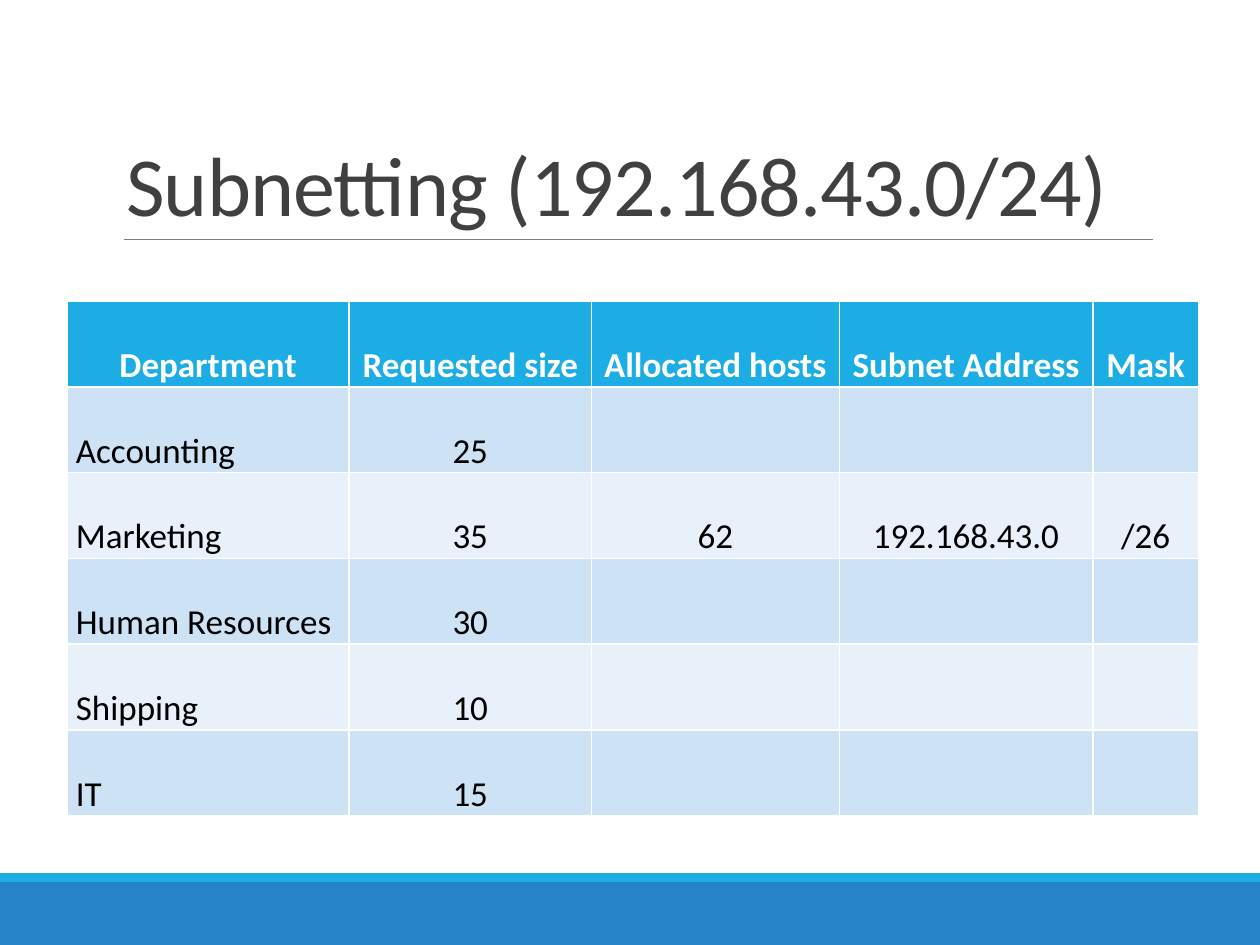
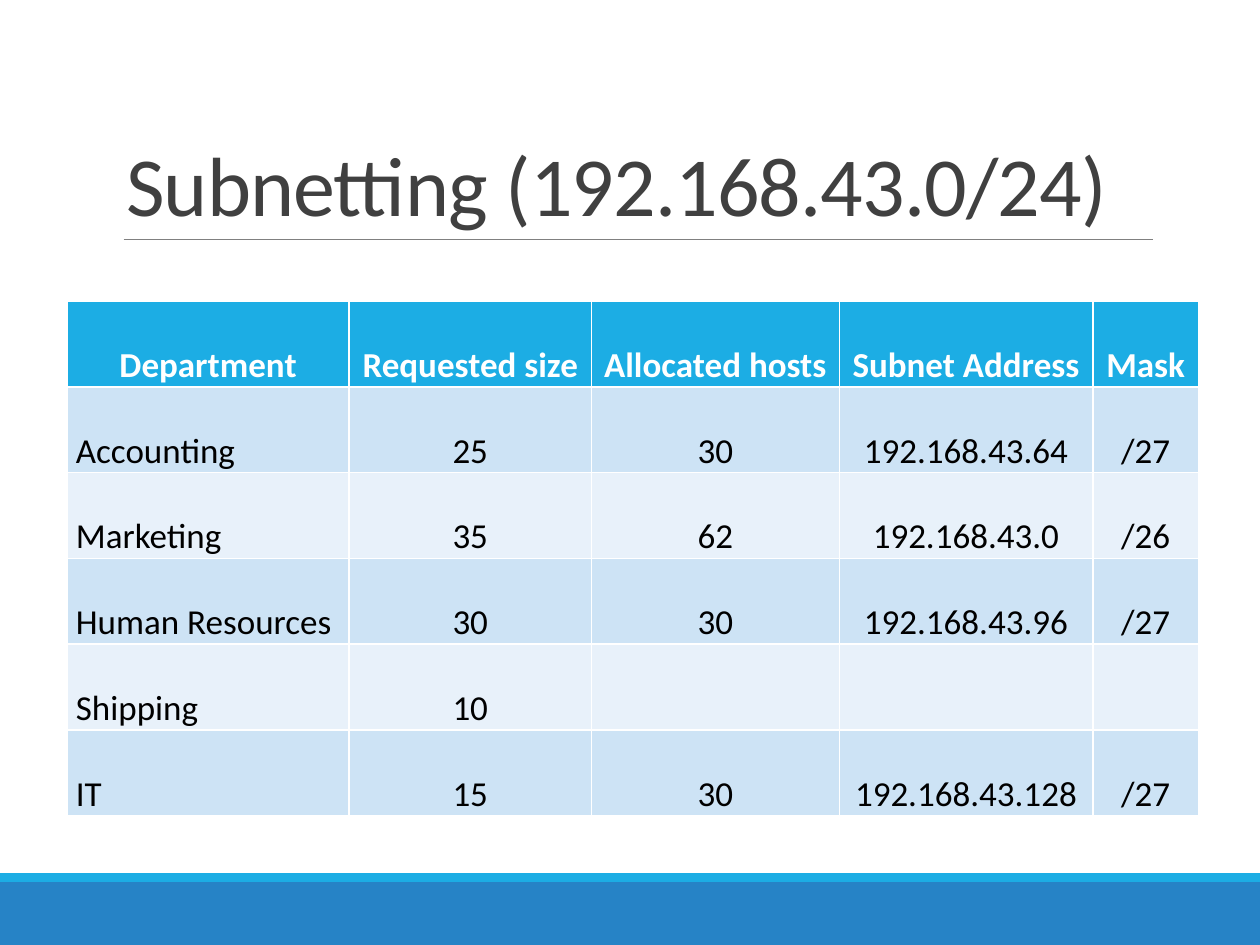
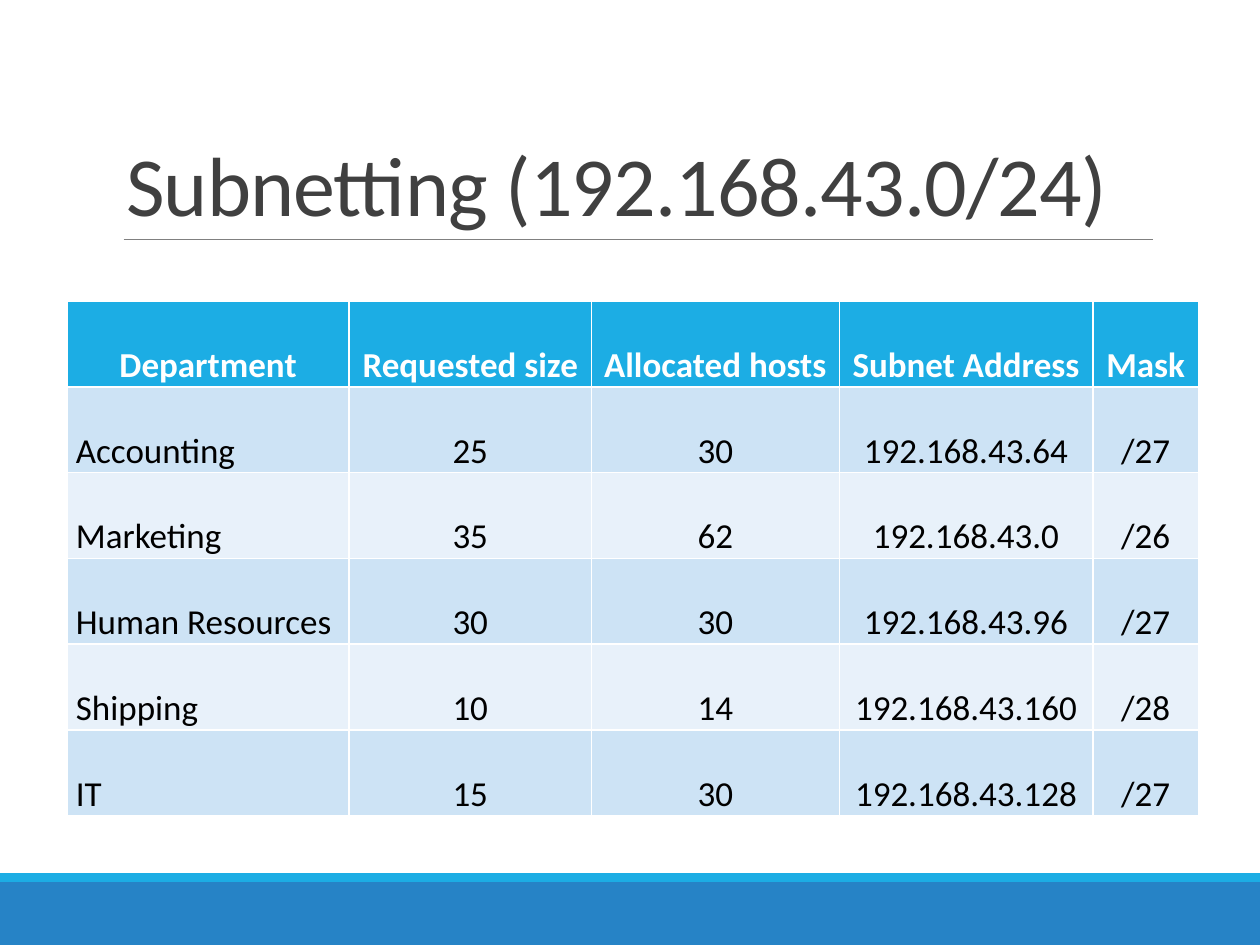
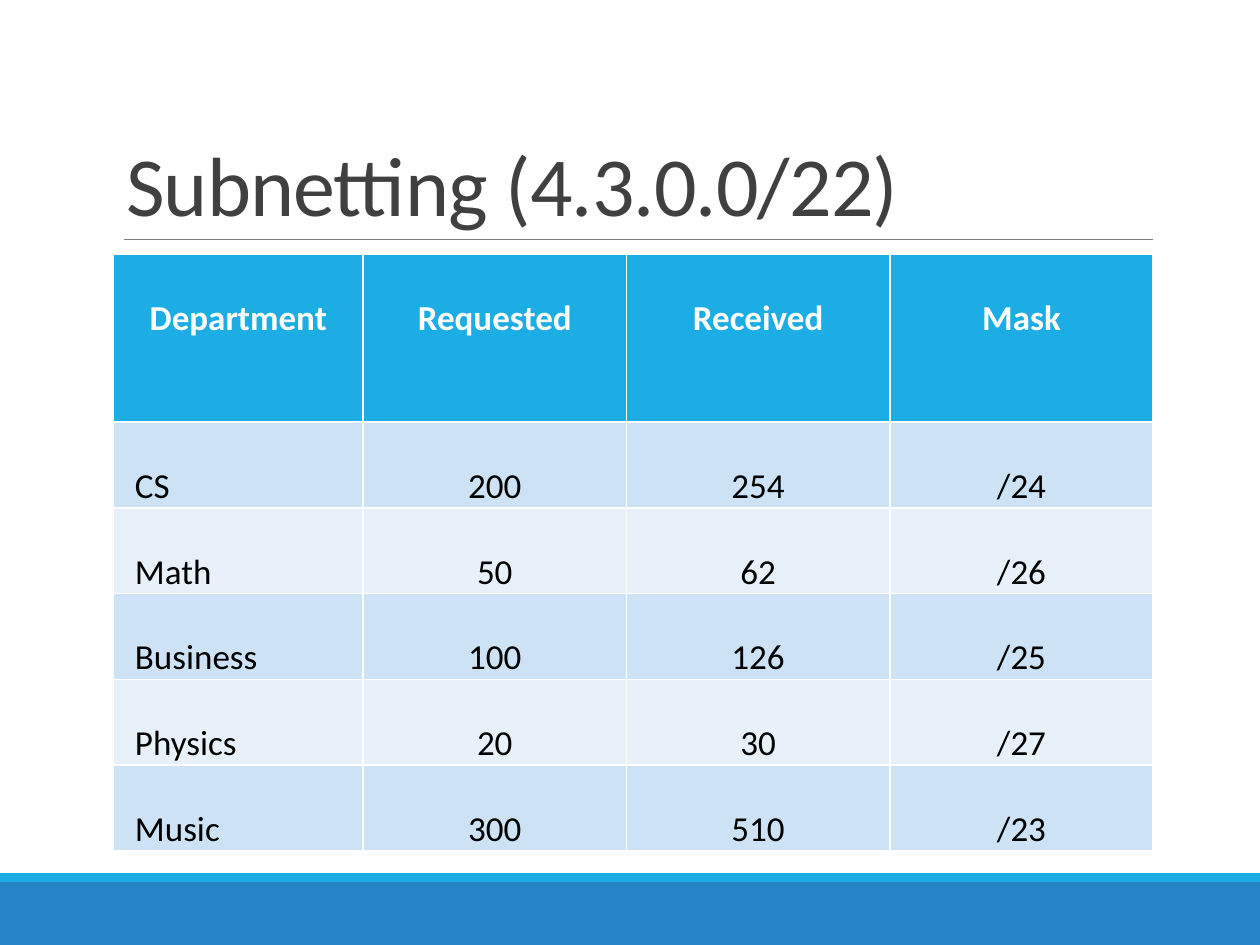
from pptx import Presentation
from pptx import util as u
from pptx.dml.color import RGBColor
from pptx.enum import shapes, text
from pptx.oxml.ns import qn
from lxml import etree

COLORS = {
    "footer": "2683C6",
    "accent": "1CADE4",
    "rule": "808080",
    "title": "404040",
    "header_text": "FFFFFF",
    "body_text": "000000",
    "odd_row": "CDE3F5",
    "even_row": "E8F1FA",
}
FONT = "Calibri"
ROW_HEIGHT = 1.69

OFFICE_TITLE = "Subnetting (192.168.43.0/24)"
OFFICE_HEADER = ("Department", "Requested size", "Allocated hosts", "Subnet Address", "Mask")
REQUESTS = {"Accounting": "25", "Marketing": "35", "Human Resources": "30", "Shipping": "10", "IT": "15"}
ALLOCATIONS = {
    "Marketing": ("62", "192.168.43.0", "/26"),
    "Accounting": ("30", "192.168.43.64", "/27"),
    "Human Resources": ("30", "192.168.43.96", "/27"),
    "IT": ("30", "192.168.43.128", "/27"),
    "Shipping": ("14", "192.168.43.160", "/28"),
}
ALLOCATED_PER_PAGE = (1, 4, 5)
OFFICE_LAYOUT = {"left": 1.35, "top": 6.07, "widths": (5.69, 4.88, 5.0, 5.11, 2.13),
                 "header_height": ROW_HEIGHT, "inset": 0.18}

CAMPUS_TITLE = "Subnetting (4.3.0.0/22)"
CAMPUS_ROWS = [
    ("Department", "Requested", "Received", "Mask"),
    ("CS", "200", "254", "/24"),
    ("Math", "50", "62", "/26"),
    ("Business", "100", "126", "/25"),
    ("Physics", "20", "30", "/27"),
    ("Music", "300", "510", "/23"),
]
CAMPUS_LAYOUT = {"left": 2.29, "top": 5.13, "widths": (5.03, 5.31, 5.31, 5.31),
                 "header_height": 2 * ROW_HEIGHT, "inset": 0.43}


def color(name):
    return RGBColor.from_string(COLORS[name])


def office_rows(allocated):
    known = list(ALLOCATIONS)[:allocated]
    rows = [OFFICE_HEADER]
    for department, size in REQUESTS.items():
        allocation = ALLOCATIONS[department] if department in known else ("", "", "")
        rows.append((department, size, *allocation))
    return rows


def add_band(page, top, height, fill):
    band = page.shapes.add_shape(shapes.MSO_SHAPE.RECTANGLE, 0, u.Cm(top), u.Cm(25.4), u.Cm(height))
    band.shadow.inherit = False
    band.fill.solid()
    band.fill.fore_color.rgb = color(fill)
    band.line.fill.background()
    return band


def add_rule(page):
    rule = page.shapes.add_connector(
        shapes.MSO_CONNECTOR.STRAIGHT, u.Cm(2.49), u.Cm(4.83), u.Cm(23.24), u.Cm(4.83))
    rule.line.color.rgb = color("rule")
    rule.line.width = u.Pt(0.5)
    etree.SubElement(rule.element.spPr, qn("a:effectLst"))
    return rule


def move_to_layout(parts, layout):
    for position, part in enumerate(parts, start=2):
        layout.shapes.element.insert(position, part.element)


def style_font(font, size, name):
    font.name = FONT
    font.size = u.Pt(size)
    font.color.rgb = color(name)


def set_title(page, words):
    title = page.shapes.title
    title.left, title.top, title.width, title.height = map(u.Cm, (2.29, 0.79, 20.96, 4.04))
    frame = title.text_frame
    frame.text = words
    frame.word_wrap = True
    frame.auto_size = text.MSO_AUTO_SIZE.NONE
    frame.vertical_anchor = text.MSO_ANCHOR.BOTTOM
    para = frame.paragraphs[0]
    para.alignment = text.PP_ALIGN.LEFT
    para.line_spacing = 0.85
    style_font(para.font, 48, "title")
    para.runs[0].font._element.set("spc", "-50")


def fill_cell(cell, words, row, column, inset):
    cell.fill.solid()
    cell.fill.fore_color.rgb = color("accent" if row == 0 else "odd_row" if row % 2 else "even_row")
    if not words:
        return
    cell.margin_left = cell.margin_right = u.Cm(inset)
    cell.margin_top = cell.margin_bottom = 0
    cell.text = words
    para = cell.text_frame.paragraphs[0]
    left = column == 0 and row > 0
    para.alignment = text.PP_ALIGN.LEFT if left else text.PP_ALIGN.CENTER
    para.line_spacing = 2.0
    style_font(para.font, 20, "body_text" if row else "header_text")
    para.font.bold = row == 0


def add_subnet_table(page, rows, layout):
    widths = layout["widths"]
    heights = [layout["header_height"]] + [ROW_HEIGHT] * (len(rows) - 1)
    table = page.shapes.add_table(
        len(rows), len(widths), u.Cm(layout["left"]), u.Cm(layout["top"]),
        u.Cm(sum(widths)), u.Cm(sum(heights))).table
    for column, width in zip(table.columns, widths):
        column.width = u.Cm(width)
    for table_row, height in zip(table.rows, heights):
        table_row.height = u.Cm(height)
    for row, values in enumerate(rows):
        for column, words in enumerate(values):
            fill_cell(table.cell(row, column), words, row, column, layout["inset"])


def main():
    deck = Presentation()
    deck.slide_width, deck.slide_height = u.Cm(25.4), u.Cm(19.05)
    title_only = deck.slide_layouts[5]
    for holder in list(title_only.placeholders)[1:]:
        title_only.shapes.element.remove(holder.element)

    content = [(OFFICE_TITLE, office_rows(count), OFFICE_LAYOUT) for count in ALLOCATED_PER_PAGE]
    content.append((CAMPUS_TITLE, CAMPUS_ROWS, CAMPUS_LAYOUT))
    pages = [deck.slides.add_slide(title_only) for _ in content]

    first = pages[0]
    shared = [add_band(first, 17.78, 1.27, "footer"), add_band(first, 17.6, 0.18, "accent"), add_rule(first)]
    move_to_layout(shared, title_only)

    for page, (title, rows, layout) in zip(pages, content):
        set_title(page, title)
        add_subnet_table(page, rows, layout)
    deck.save("out.pptx")


if __name__ == "__main__":
    main()
